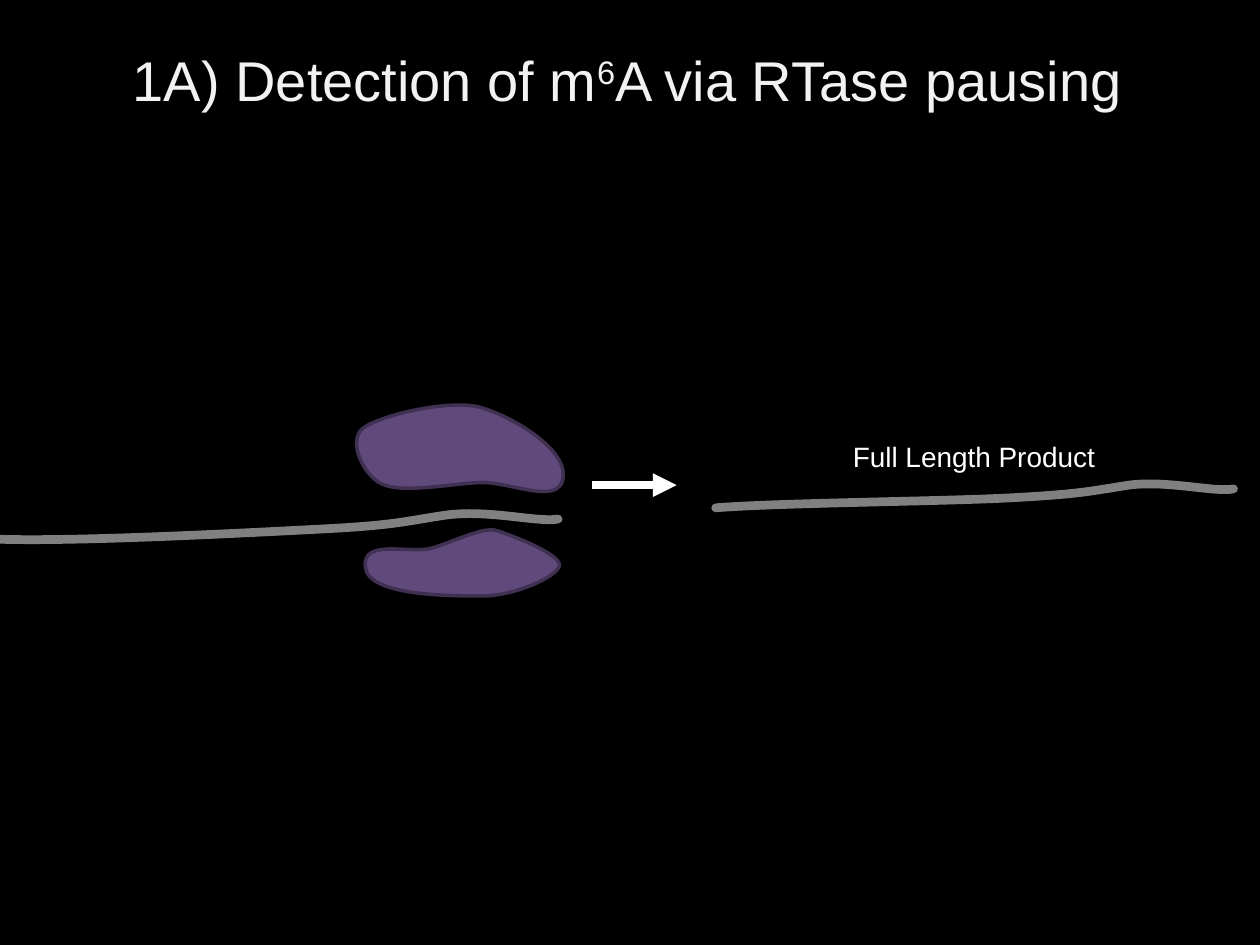
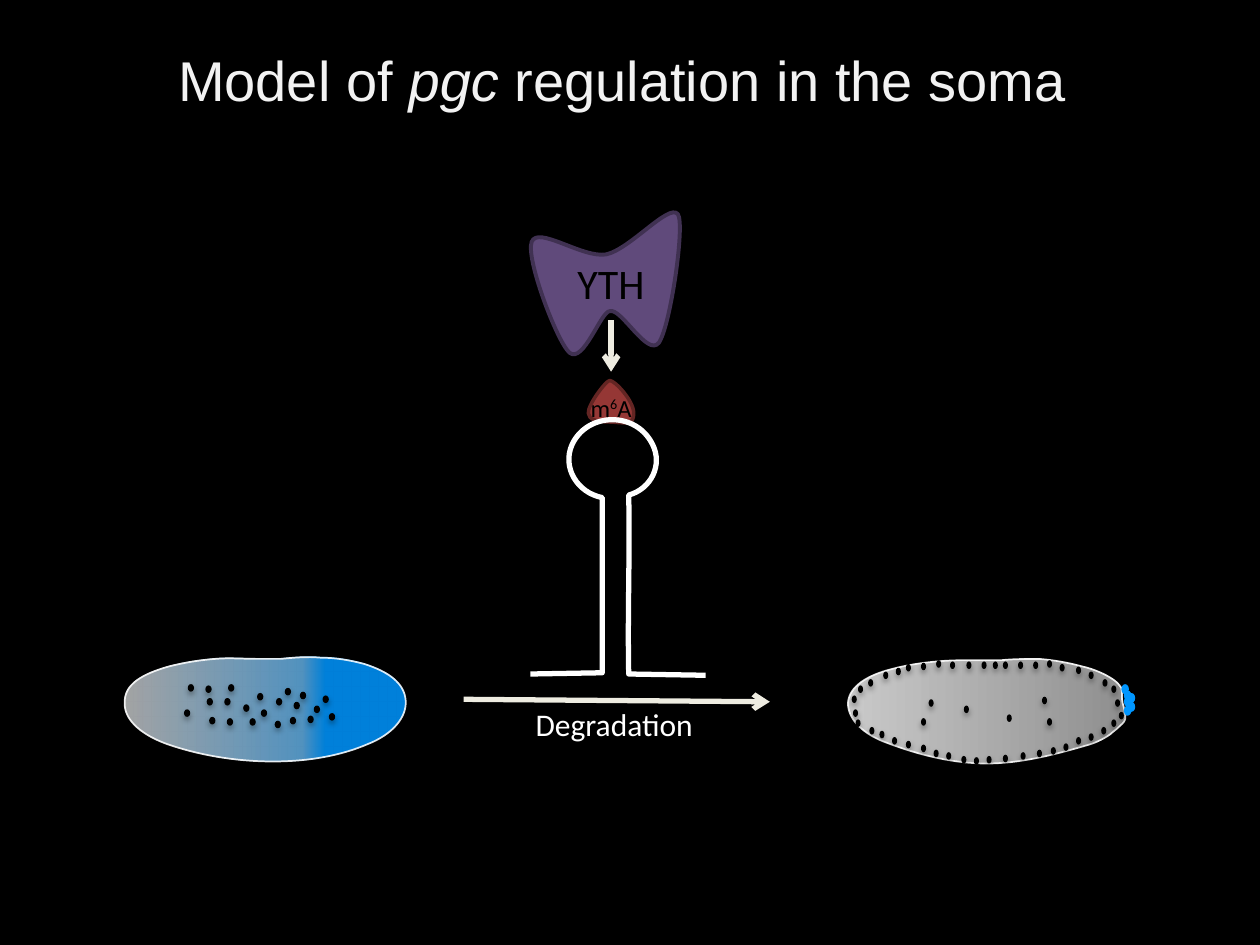
from dataclasses import dataclass
from typing import Optional

from lxml import etree
from pptx import Presentation
from pptx import util as u
from pptx.dml.color import RGBColor
from pptx.enum import shapes, text
from pptx.oxml.ns import qn

COLORS = {
    "black": "000000", "white": "FFFFFF", "title": "F2F2F2", "strand": "808080",
    "protein": "604A7B", "protein_edge": "403152", "mark": "953735",
    "mark_edge": "632523", "arrow": "EEECE1", "germ": "0096FF",
}
EMBRYO_ALPHA = 85
SOMA_GRADIENT = [(0, "C0C0C0"), (63, "60ABE0"), (71, "0096FF"), (100, "0096FF")]
LATE_GRADIENT = [(0, "EBEBEB"), (100, "A7A7A7")]


@dataclass
class Run:
    text: str
    italic: bool = False
    superscript: bool = False


@dataclass
class Label:
    frame: tuple
    runs: list
    size: float
    font: str = "Arial"
    color: str = "white"
    anchor: text.MSO_ANCHOR = text.MSO_ANCHOR.TOP


@dataclass
class Arrow:
    start: tuple
    end: tuple
    color: str
    width: float
    head: str


@dataclass
class Outline:
    """A segment holds 2 numbers for a line, 6 for a cubic curve."""
    frame: tuple
    start: tuple
    segments: list
    line: str
    width: float
    fill: Optional[str] = None
    gradient: Optional[list] = None
    cap: str = "flat"


@dataclass
class Dots:
    size: tuple
    color: str
    places: list
    shadow: bool = True


def rgb(name: str) -> RGBColor:
    return RGBColor.from_string(COLORS[name])


def add_xml(parent, tag: str, **attrs):
    return etree.SubElement(parent, qn(tag), {k: str(v) for k, v in attrs.items()})


def fill_text(tf, runs: list, size: float, font: str, color: str) -> None:
    p = tf.paragraphs[0]
    p.alignment = text.PP_ALIGN.CENTER
    p.font.size, p.font.name = u.Pt(size), font
    p.font.color.rgb = rgb(color)
    for run in runs:
        r = p.add_run()
        r.text = run.text
        if run.italic:
            r.font.italic = True
        if run.superscript:
            r.font._element.set("baseline", "30000")


def draw_label(s, label: Label) -> None:
    tf = s.shapes.add_textbox(*map(u.Inches, label.frame)).text_frame
    tf.word_wrap = True
    tf.vertical_anchor = label.anchor
    fill_text(tf, label.runs, label.size, label.font, label.color)


def draw_title(s, left: float, runs: list) -> None:
    draw_label(s, Label((left, 0, 10, 1.25), runs, 32, color="title",
                        anchor=text.MSO_ANCHOR.MIDDLE))


def draw_arrow(s, arrow: Arrow) -> None:
    sp = s.shapes.add_connector(shapes.MSO_CONNECTOR.STRAIGHT,
                                *map(u.Inches, arrow.start + arrow.end))
    sp.line.color.rgb = rgb(arrow.color)
    sp.line.width = u.Pt(arrow.width)
    add_xml(sp.line._get_or_add_ln(), "a:tailEnd", type=arrow.head)
    add_xml(sp._element.spPr, "a:effectLst")


def bend(sp, outline: Outline) -> None:
    """Turn point triples into curves and fit the frame to the visible outline."""
    geometry = sp._element.find(".//" + qn("a:path"))
    points = iter(geometry.findall(qn("a:lnTo")))
    for segment in outline.segments:
        first = next(points)
        if len(segment) == 6:
            curve = etree.Element(qn("a:cubicBezTo"))
            first.addprevious(curve)
            for node in (first, next(points), next(points)):
                curve.append(node[0])
                geometry.remove(node)
    left, top, width, height = map(u.Inches, outline.frame)
    dx, dy = left - sp.left, top - sp.top
    for pt in geometry.iter(qn("a:pt")):
        pt.set("x", str(int(pt.get("x")) - dx))
        pt.set("y", str(int(pt.get("y")) - dy))
    geometry.set("w", str(width))
    geometry.set("h", str(height))
    sp.left, sp.top, sp.width, sp.height = left, top, width, height


def fill_gradient(sp, stops: list) -> None:
    """Left-to-right translucent gradient, with an equally translucent edge."""
    alpha = EMBRYO_ALPHA * 1000
    sp.fill.solid()
    old = sp._element.spPr.find(qn("a:solidFill"))
    grad = etree.Element(qn("a:gradFill"), rotWithShape="1")
    stop_list = add_xml(grad, "a:gsLst")
    for position, color in stops:
        stop = add_xml(stop_list, "a:gs", pos=position * 1000)
        add_xml(add_xml(stop, "a:srgbClr", val=color), "a:alpha", val=alpha)
    add_xml(grad, "a:lin", ang=0, scaled=0)
    old.getparent().replace(old, grad)
    edge = sp.line._get_or_add_ln().find(".//" + qn("a:srgbClr"))
    add_xml(edge, "a:alpha", val=alpha)


def draw_outline(s, outline: Outline):
    points = [(u.Inches(seg[i]), u.Inches(seg[i + 1]))
              for seg in outline.segments for i in range(0, len(seg), 2)]
    closed = bool(outline.fill or outline.gradient)
    builder = s.shapes.build_freeform(*map(u.Inches, outline.start))
    builder.add_line_segments(points, close=closed)
    sp = builder.convert_to_shape()
    bend(sp, outline)
    sp.shadow.inherit = False
    sp.line.color.rgb = rgb(outline.line)
    sp.line.width = u.Pt(outline.width)
    sp.line._get_or_add_ln().set("cap", outline.cap)
    if outline.gradient:
        fill_gradient(sp, outline.gradient)
    elif outline.fill:
        sp.fill.solid()
        sp.fill.fore_color.rgb = rgb(outline.fill)
    else:
        sp.fill.background()
    return sp


def draw_dots(s, dots: Dots) -> None:
    for place in dots.places:
        sp = s.shapes.add_shape(shapes.MSO_SHAPE.OVAL, *map(u.Inches, place + dots.size))
        sp.fill.solid()
        sp.fill.fore_color.rgb = rgb(dots.color)
        sp.line.fill.background()
        sp.shadow.inherit = False
        if dots.shadow:
            shadow = add_xml(sp._element.spPr.find(qn("a:effectLst")), "a:outerShdw",
                             blurRad=u.Pt(3), dist=u.Pt(1.8), dir=5400000, rotWithShape=0)
            add_xml(add_xml(shadow, "a:srgbClr", val=COLORS["black"]), "a:alpha", val=35000)


def write_in(sp, runs: list, size: float, anchor: text.MSO_ANCHOR, left: float = 0) -> None:
    tf = sp.text_frame
    tf.word_wrap = False
    tf.margin_left = u.Inches(left)
    tf.margin_top = tf.margin_right = tf.margin_bottom = 0
    tf.vertical_anchor = anchor
    fill_text(tf, runs, size, "Calibri", "black")


def strand(frame: tuple, start: tuple, segments: list) -> Outline:
    return Outline(frame, start, segments, "strand", 5, cap="rnd")


def protein(frame: tuple, start: tuple, segments: list, width: float = 2) -> Outline:
    return Outline(frame, start, segments, "protein_edge", width, fill="protein")


def embryo(frame: tuple, start: tuple, segments: list, gradient: list) -> Outline:
    return Outline(frame, start, segments, "white", 1, gradient=gradient)


RTASE_UPPER = protein((2.83, 3.21, 1.66, 0.72), (2.88, 3.4), [
    (2.76, 3.5, 2.88, 3.77, 3.03, 3.84), (3.19, 3.92, 3.57, 3.84, 3.81, 3.83),
    (4.05, 3.82, 4.44, 4.02, 4.47, 3.79), (4.5, 3.56, 4.06, 3.3, 3.8, 3.23),
    (3.54, 3.17, 3.01, 3.3, 2.88, 3.4)])
RTASE_LOWER = protein((2.9, 4.23, 1.54, 0.52), (4.44, 4.49), [
    (4.46, 4.4, 4.04, 4.24, 3.94, 4.21), (3.83, 4.18, 3.6, 4.3, 3.43, 4.35),
    (3.26, 4.4, 2.87, 4.27, 2.9, 4.5), (2.92, 4.73, 3.57, 4.73, 3.83, 4.73),
    (4.08, 4.73, 4.42, 4.58, 4.44, 4.49)])
TEMPLATE = strand((-1.26, 4.08, 5.7, 0.2), (-1.26, 4.11), [
    (-0.84, 4.16, -0.64, 4.27, -0.01, 4.28), (0.62, 4.3, 1.95, 4.23, 2.54, 4.2),
    (3.13, 4.17, 3.2, 4.14, 3.53, 4.09), (3.87, 4.04, 4.27, 4.15, 4.43, 4.12)])
PRODUCT = strand((5.68, 3.84, 4.11, 0.19), (5.68, 4.03), [
    (6.18, 3.99, 7.49, 3.98, 8.04, 3.95), (8.58, 3.92, 8.64, 3.9, 8.96, 3.85),
    (9.27, 3.81, 9.64, 3.91, 9.79, 3.88)])

M6A = Outline((4.67, 3.02, 0.36, 0.33), (4.67, 3.28), [
    (4.66, 3.22, 4.81, 3.02, 4.84, 3.02), (4.88, 3.02, 5.03, 3.18, 5.03, 3.28),
    (5.03, 3.37, 4.98, 3.36, 4.86, 3.35), (4.74, 3.35, 4.67, 3.33, 4.67, 3.28)],
    "mark_edge", 2, fill="mark")
YTH = protein((4.21, 1.68, 1.18, 1.13), (4.22, 1.92), [
    (4.27, 1.79, 4.62, 2.05, 4.81, 2.02), (5, 1.98, 5.31, 1.61, 5.38, 1.7),
    (5.44, 1.78, 5.32, 2.59, 5.23, 2.72), (5.14, 2.84, 4.93, 2.44, 4.84, 2.47),
    (4.77, 2.47, 4.63, 2.89, 4.52, 2.8), (4.42, 2.71, 4.17, 2.05, 4.22, 1.92)], 2.25)
HAIRPIN = Outline((4.21, 3.33, 1.39, 2.03), (4.21, 5.35), [
    (4.78, 5.34), (4.78, 4.88, 4.78, 4.41, 4.78, 3.95),
    (4.58, 3.91, 4.46, 3.71, 4.54, 3.53), (4.66, 3.27, 5.05, 3.26, 5.18, 3.53),
    (5.26, 3.69, 5.17, 3.88, 4.99, 3.93), (5, 4.43, 4.98, 4.85, 4.99, 5.35),
    (5.6, 5.36)], "white", 3)
EARLY_EMBRYO = embryo((0.99, 5.21, 2.24, 0.83), (2.89, 5.27), [
    (3.08, 5.33, 3.21, 5.42, 3.22, 5.56), (3.23, 5.69, 3.12, 5.83, 2.91, 5.91),
    (2.44, 6.11, 1.78, 6.07, 1.31, 5.9), (1.1, 5.82, 0.98, 5.7, 0.99, 5.57),
    (0.99, 5.43, 1.13, 5.35, 1.34, 5.29), (1.46, 5.26, 1.58, 5.24, 1.71, 5.23),
    (1.82, 5.22, 1.93, 5.23, 2.03, 5.23), (2.1, 5.23, 2.16, 5.23, 2.23, 5.23),
    (2.33, 5.22, 2.44, 5.21, 2.54, 5.22), (2.66, 5.22, 2.78, 5.24, 2.89, 5.27)],
    SOMA_GRADIENT)
LATE_EMBRYO = embryo((6.73, 5.23, 2.2, 0.83), (8.59, 5.29), [
    (8.68, 5.31, 8.77, 5.35, 8.83, 5.39), (8.86, 5.41, 8.88, 5.43, 8.9, 5.46),
    (8.91, 5.5, 8.9, 5.54, 8.91, 5.58), (8.92, 5.62, 8.94, 5.67, 8.93, 5.71),
    (8.92, 5.74, 8.9, 5.75, 8.88, 5.77), (8.86, 5.79, 8.83, 5.81, 8.81, 5.83),
    (8.75, 5.87, 8.69, 5.9, 8.61, 5.92), (8.37, 5.99, 8.1, 6.06, 7.83, 6.06),
    (7.56, 6.06, 7.29, 5.99, 7.05, 5.9), (6.85, 5.83, 6.73, 5.71, 6.73, 5.58),
    (6.74, 5.45, 6.88, 5.36, 7.08, 5.31), (7.19, 5.28, 7.32, 5.26, 7.44, 5.25),
    (7.55, 5.24, 7.65, 5.24, 7.76, 5.24), (7.82, 5.24, 7.88, 5.24, 7.95, 5.24),
    (8.05, 5.23, 8.15, 5.23, 8.25, 5.23), (8.37, 5.24, 8.48, 5.26, 8.59, 5.29)],
    LATE_GRADIENT)
EARLY_NUCLEI = Dots((0.05, 0.06), "black", [
    (1.64, 5.54), (2.26, 5.46), (1.81, 5.43), (1.78, 5.54), (1.46, 5.63), (1.66, 5.69),
    (1.49, 5.43), (2.3, 5.69), (2.33, 5.57), (2.19, 5.54), (2.07, 5.63), (2.18, 5.72),
    (1.98, 5.7), (2.04, 5.5), (1.93, 5.59), (1.63, 5.44), (1.8, 5.7), (2.61, 5.66),
    (2.44, 5.68), (2.56, 5.52), (2.38, 5.49), (2.49, 5.6)])
LATE_NUCLEI = Dots((0.04, 0.06), "black", [
    (7.37, 5.55), (7.67, 5.25), (7.43, 5.24), (6.79, 5.71), (7.11, 5.3), (7.41, 5.95),
    (7.19, 5.27), (7.19, 5.88), (6.9, 5.77), (7.88, 5.25), (7.31, 5.91),
    (7.31, 5.7), (7.54, 5.25), (7.65, 5.6), (7.31, 5.26), (7.51, 5.97), (6.98, 5.8),
    (7.08, 5.85), (8.27, 5.53), (7.79, 5.25), (8.23, 5.95), (8.41, 5.27), (8.2, 5.25),
    (7.96, 5.25), (8.31, 5.24), (8.08, 5.25), (7.63, 6), (8.1, 5.97), (7.96, 5.99),
    (7.83, 6), (8.54, 5.29), (8.74, 5.77), (8.34, 5.93), (8.75, 5.39), (8.31, 5.7),
    (8.64, 5.33), (6.89, 5.39), (6.81, 5.44), (7.01, 5.33), (6.76, 5.52), (6.77, 5.63),
    (8.44, 5.9), (8.54, 5.85), (8.64, 5.82), (7.73, 6.01), (8.82, 5.71), (8.82, 5.44),
    (8.85, 5.55), (8.88, 5.65)])
FLAT_NUCLEUS = Dots((0.04, 0.06), "black", [(7.99, 5.67)], shadow=False)
POLE_CELLS = Dots((0.06, 0.08), "germ", [
    (8.9, 5.43), (8.92, 5.48), (8.92, 5.53), (8.92, 5.6), (8.95, 5.5), (8.95, 5.57)],
    shadow=False)


def new_slide(prs):
    s = prs.slides.add_slide(prs.slide_layouts[6])
    s.background.fill.solid()
    s.background.fill.fore_color.rgb = rgb("black")
    return s


def build_detection(s) -> None:
    draw_title(s, -0.02, [Run("1A) Detection of m"), Run("6", superscript=True),
                          Run("A via RTase pausing")])
    draw_arrow(s, Arrow((4.7, 3.85), (5.37, 3.85), "white", 4.5, "triangle"))
    draw_label(s, Label((6.61, 3.44, 2.24, 0.37), [Run("Full Length Product")], 16))
    for outline in (RTASE_UPPER, RTASE_LOWER, TEMPLATE, PRODUCT):
        draw_outline(s, outline)


def build_model(s) -> None:
    draw_title(s, 0, [Run("Model of "), Run("pgc ", italic=True),
                      Run("regulation in the soma ")])
    write_in(draw_outline(s, M6A), [Run("m"), Run("6", superscript=True), Run("A")],
             14, text.MSO_ANCHOR.BOTTOM)
    draw_arrow(s, Arrow((4.85, 2.54), (4.85, 2.95), "arrow", 3, "arrow"))
    write_in(draw_outline(s, YTH), [Run("YTH")], 24, text.MSO_ANCHOR.MIDDLE, left=0.1)
    draw_outline(s, HAIRPIN)
    draw_label(s, Label((3.58, 5.55, 2.59, 0.4), [Run("Degradation")], 18, "Calibri"))
    draw_arrow(s, Arrow((3.68, 5.55), (6.11, 5.57), "arrow", 3, "arrow"))
    draw_outline(s, EARLY_EMBRYO)
    draw_dots(s, EARLY_NUCLEI)
    draw_outline(s, LATE_EMBRYO)
    for dots in (LATE_NUCLEI, FLAT_NUCLEUS, POLE_CELLS):
        draw_dots(s, dots)


def main() -> None:
    prs = Presentation()
    prs.slide_width, prs.slide_height = u.Inches(10), u.Inches(7.5)
    for build in (build_detection, build_model):
        build(new_slide(prs))
    prs.save("out.pptx")


if __name__ == "__main__":
    main()
